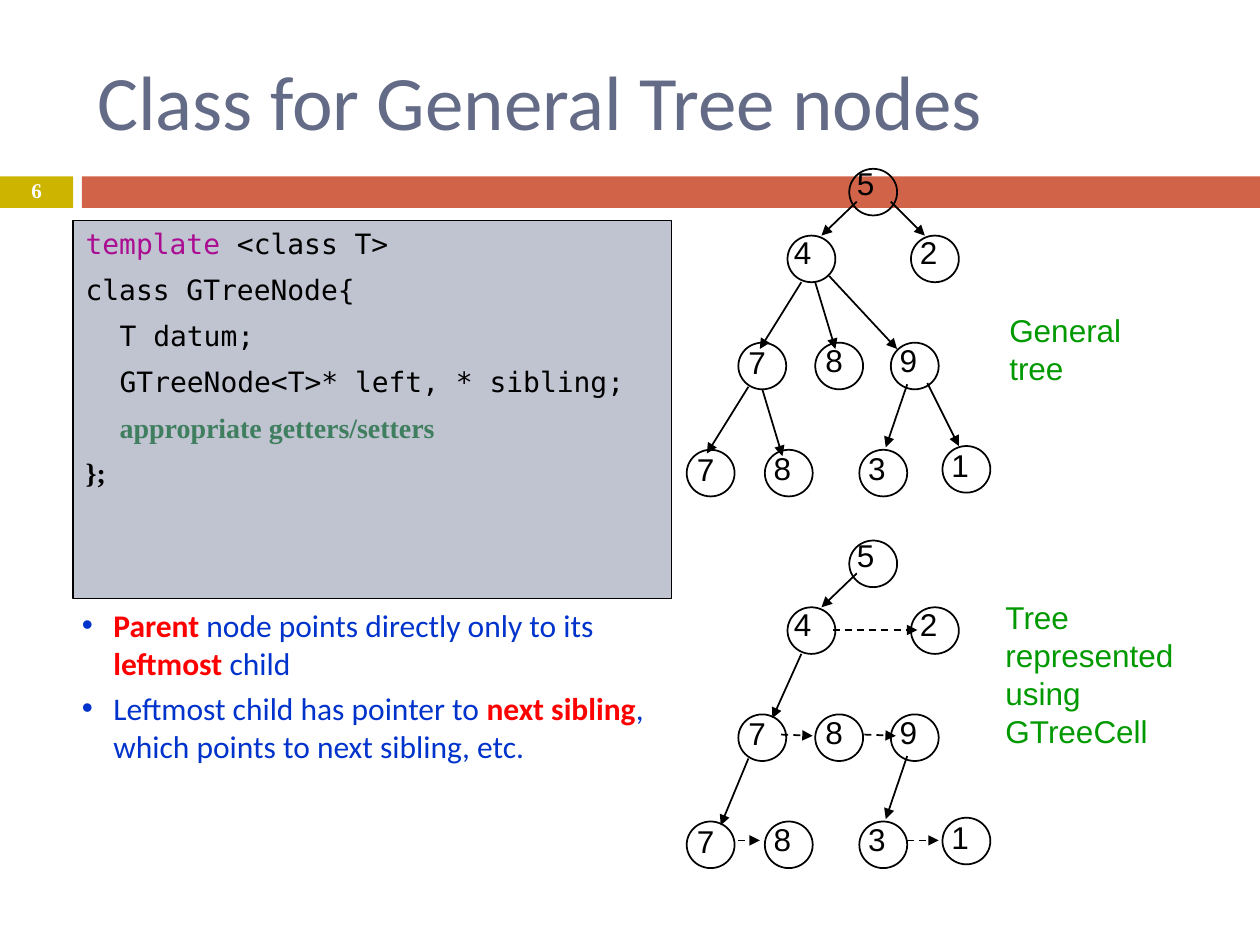
from dataclasses import dataclass

from lxml.etree import SubElement as Sub
from pptx import Presentation
from pptx.dml.color import RGBColor as RGB
from pptx.enum.dml import MSO_LINE as Dash
from pptx.enum.shapes import MSO_CONNECTOR as Conn, MSO_SHAPE as Shape
from pptx.enum.text import MSO_ANCHOR as Anchor, MSO_AUTO_SIZE as Fit, PP_ALIGN as Align
from pptx.oxml.ns import qn
from pptx.util import Inches, Pt


@dataclass(frozen=True)
class Theme:
    """Colours, fonts and type sizes of the slide."""
    ink: str = "000000"
    white: str = "FFFFFF"
    slate: str = "646B86"
    gold: str = "CCB400"
    rust: str = "D16349"
    panel: str = "C0C3D0"
    key: str = "AA0D91"
    note: str = "3F7F5F"
    blue: str = "0033CC"
    red: str = "FF0000"
    green: str = "009900"
    sans: str = "Calibri"
    mono: str = "DejaVu Sans Mono"
    serif: str = "Times New Roman"
    plain: str = "Arial"
    head: int = 44
    text: int = 18
    code: int = 16
    page: int = 12


T = Theme()

NODES = [
    ("5", 1.29, 0, 0.02, -0.04), ("4", 0.8, 0.53, 0.01, -0.02),
    ("2", 1.78, 0.53, 0.03, -0.02), ("7", 0.41, 1.38, 0.04, 0),
    ("8", 1.02, 1.38, 0.04, -0.01), ("9", 1.62, 1.38, 0.03, -0.01),
    ("7", 0, 2.23, 0.04, 0), ("8", 0.62, 2.23, 0.03, -0.01),
    ("3", 1.37, 2.23, 0.03, -0.01), ("1", 2.03, 2.2, 0.03, 0),
]
SHARED = [(1.35, 0.26, 1.07, 0.53), (1.75, 1.71, 1.58, 2.21)]
FULL = SHARED + [
    (1.62, 0.26, 1.89, 0.53), (0.91, 0.9, 0.58, 1.43), (1.02, 0.9, 1.18, 1.43),
    (1.13, 0.85, 1.67, 1.43), (0.49, 1.73, 0.16, 2.26), (0.6, 1.75, 0.76, 2.28),
    (1.91, 1.7, 2.16, 2.2),
]
FIRST = SHARED + [(0.91, 0.9, 0.68, 1.41), (0.49, 1.73, 0.27, 2.26)]
NEXT = [
    (0.75, 1.54, 1, 1.55), (1.41, 1.54, 1.66, 1.55), (1.16, 0.71, 1.83, 0.71),
    (0.41, 2.38, 0.58, 2.38), (1.75, 2.38, 2, 2.38),
]
CODE = [
    (0, [("template", T.mono, T.key, False), (" <class T>", T.mono, T.ink, False)]),
    (0, [("class GTreeNode{", T.mono, T.ink, False)]),
    (0.27, [("T datum;", T.mono, T.ink, False)]),
    (0.27, [("GTreeNode<T>* left, * sibling;", T.mono, T.ink, False)]),
    (0.27, [("appropriate getters/setters", T.serif, T.note, True)]),
    (0, [("};", T.serif, T.ink, True)]),
]
POINTS = [
    [("Parent ", True), ("node points directly only to its ", False),
     ("leftmost ", True), ("child", False)],
    [("Leftmost child has pointer to ", False), ("next sibling", True),
     (", which points to next sibling, etc.", False)],
]


def place(shape, box):
    """Move a shape to a box of left, top, width and height in inches."""
    shape.left, shape.top, shape.width, shape.height = map(Inches, box)


def setup(frame, pads, wrap=True, anchor=Anchor.TOP):
    """Set the insets, wrapping and anchor of a text frame."""
    frame.auto_size = Fit.NONE
    frame.word_wrap = wrap
    frame.vertical_anchor = anchor
    (frame.margin_left, frame.margin_top,
     frame.margin_right, frame.margin_bottom) = map(Inches, pads)


def write(para, text, font, size, color, bold=False):
    """Add one run to a paragraph."""
    run = para.add_run()
    run.text = text
    run.font.name, run.font.size, run.font.bold = font, Pt(size), bold
    run.font.color.rgb = RGB.from_string(color)


def indent(para, left, hang=0, bullet=None):
    """Set the indent of a paragraph and its bullet colour, if any."""
    props = para._p.get_or_add_pPr()
    props.set("marL", str(Inches(left)))
    props.set("indent", str(Inches(hang)))
    if bullet:
        Sub(Sub(props, qn("a:buClr")), qn("a:srgbClr")).set("val", bullet)
        Sub(props, qn("a:buFont")).set("typeface", T.plain)
        Sub(props, qn("a:buChar")).set("char", "•")
    else:
        Sub(props, qn("a:buNone"))


def lines(frame, count):
    """Return a list of paragraphs of the given count."""
    return [frame.paragraphs[0]] + [frame.add_paragraph() for _ in range(count - 1)]


def label(slide, box, text, color, wrap=True):
    """Add a small text box in the plain font."""
    frame = slide.shapes.add_textbox(*map(Inches, box)).text_frame
    setup(frame, (0, 0, 0.04, 0), wrap)
    indent(frame.paragraphs[0], 0.04)
    write(frame.paragraphs[0], text, T.plain, T.text, color)


def band(slide, box, split, gap):
    """Draw the two-colour band and the page number in its left part."""
    left, top, width, height = box
    start = split + gap
    for x, span, color in ((left, split, T.gold), (left + start, width - start, T.rust)):
        bar = slide.shapes.add_shape(Shape.RECTANGLE, *map(Inches, (x, top, span, height)))
        bar.shadow.inherit = False
        bar.fill.solid()
        bar.fill.fore_color.rgb = RGB.from_string(color)
        bar.line.fill.background()
    page = slide.shapes.add_textbox(*map(Inches, (left, top - 0.01, split, height + 0.02)))
    setup(page.text_frame, (0.1, 0.05, 0.1, 0.05), anchor=Anchor.MIDDLE)
    para = page.text_frame.paragraphs[0]
    para.alignment, para.line_spacing = Align.CENTER, 0.8
    write(para, "6", T.serif, T.page, T.white, True)


def title(shape, box):
    """Fill the title placeholder."""
    place(shape, box)
    setup(shape.text_frame, (0.1, 0.05, 0.14, 0.05), anchor=Anchor.MIDDLE)
    para = shape.text_frame.paragraphs[0]
    para.alignment = Align.LEFT
    write(para, "Class for General Tree nodes", T.sans, T.head, T.slate)


def code(shape, box):
    """Fill the code panel."""
    place(shape, box)
    shape.fill.solid()
    shape.fill.fore_color.rgb = RGB.from_string(T.panel)
    shape.line.color.rgb = RGB.from_string(T.ink)
    shape.line.width = Pt(0.75)
    setup(shape.text_frame, (0.1, 0.05, 0.1, 0.05))
    for para, (left, runs) in zip(lines(shape.text_frame, len(CODE)), CODE):
        para.space_before = Pt(7)
        indent(para, left)
        for text, font, color, bold in runs:
            write(para, text, font, T.code, color, bold)


def points(shape, box):
    """Fill the bullet list."""
    place(shape, box)
    setup(shape.text_frame, (0, 0, 0.04, 0))
    for para, runs in zip(lines(shape.text_frame, len(POINTS)), POINTS):
        para.space_before = Pt(4.1)
        indent(para, 0.3, -0.25, T.blue)
        for text, key in runs:
            write(para, text, T.sans, T.text, T.red if key else T.blue, key)


def arrow(slide, ends, dash=None):
    """Draw an arrow between two points in inches."""
    line = slide.shapes.add_connector(Conn.STRAIGHT, *map(Inches, ends))
    line.line.color.rgb = RGB.from_string(T.ink)
    line.line.width = Pt(1)
    if dash:
        line.line.dash_style = dash
    Sub(line.line._get_or_add_ln(), qn("a:tailEnd")).set("type", "triangle")
    Sub(line._element.spPr, qn("a:effectLst"))


def tree(slide, left, top, solid, dashed=()):
    """Draw the nodes of a tree and its arrows from a top left corner."""
    for text, x, y, dx, dy in NODES:
        x, y = left + x, top + y
        node = slide.shapes.add_shape(Shape.OVAL, *map(Inches, (x, y, 0.38, 0.37)))
        node.shadow.inherit = False
        node.fill.background()
        node.line.color.rgb = RGB.from_string(T.ink)
        node.line.width = Pt(1)
        label(slide, (x + dx, y + dy, 0.31, 0.39), text, T.ink, False)
    for links, dash in ((solid, None), (dashed, Dash.DASH)):
        for a, b, c, d in links:
            arrow(slide, (left + a, top + b, left + c, top + d), dash)


def main():
    """Build and save the slide."""
    deck = Presentation()
    deck.slide_width, deck.slide_height = Inches(10), Inches(7.5)
    slide = deck.slides.add_slide(deck.slide_layouts[3])
    band(slide, (0, 1.4, 10, 0.25), 0.58, 0.07)
    title(slide.shapes.title, (0.67, 0.25, 8.92, 1.08))
    code(slide.placeholders[1], (0.58, 1.75, 4.75, 3))
    points(slide.placeholders[2], (0.6, 4.81, 4.57, 2.11))
    tree(slide, 5.45, 1.34, FULL)
    tree(slide, 5.45, 4.29, FIRST, NEXT)
    label(slide, (7.97, 2.47, 1.22, 0.68), "General tree", T.green)
    label(slide, (7.94, 4.75, 1.64, 1.26), "Tree represented using GTreeCell", T.green)
    deck.save("out.pptx")


if __name__ == "__main__":
    main()
